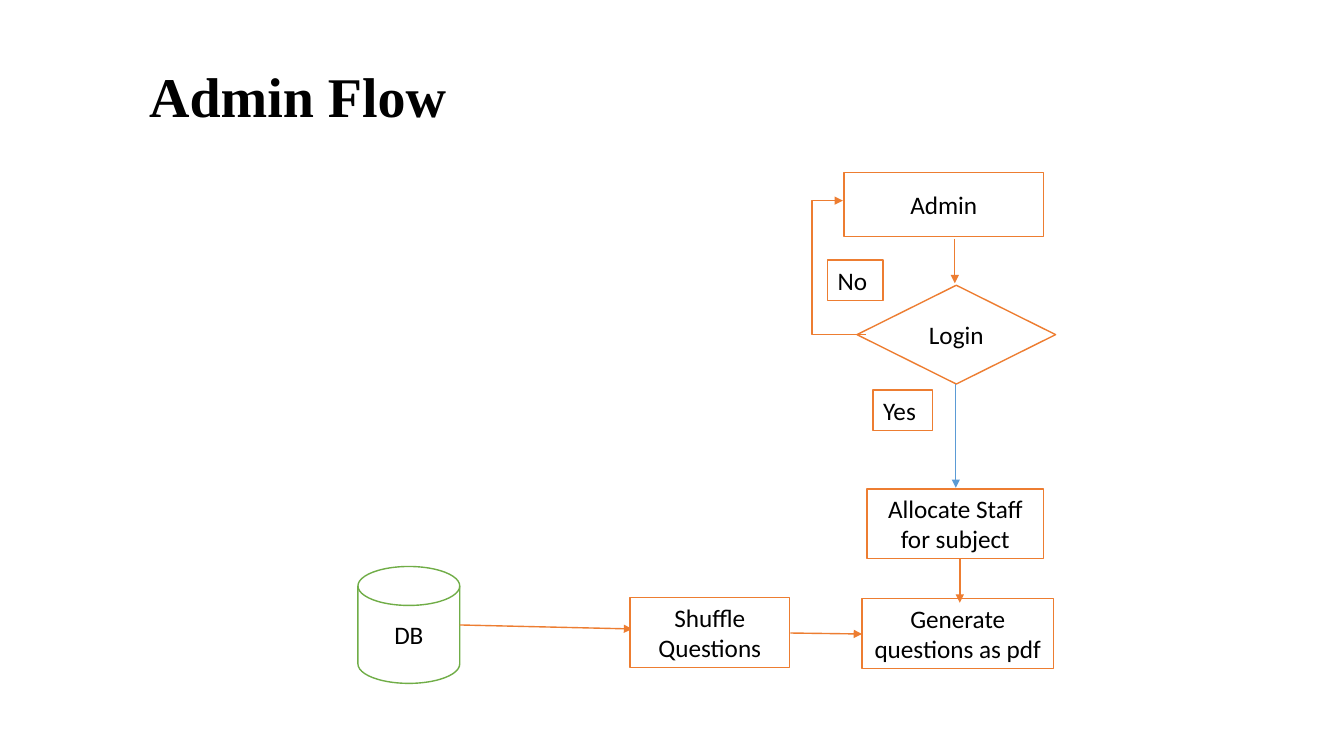
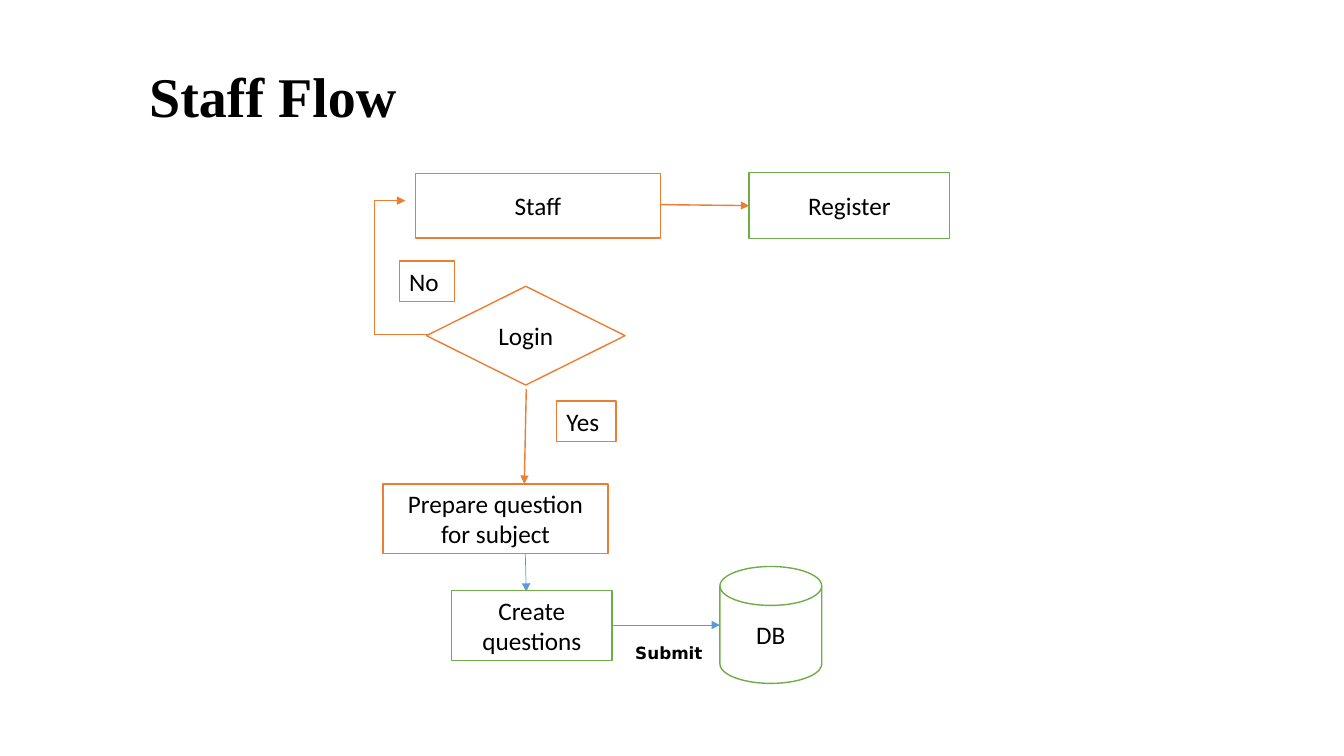
from dataclasses import dataclass

from lxml import etree
from pptx import Presentation
from pptx.dml.color import RGBColor
from pptx.enum.shapes import MSO_CONNECTOR, MSO_SHAPE
from pptx.enum.text import MSO_ANCHOR, MSO_AUTO_SIZE, PP_ALIGN
from pptx.oxml.ns import qn
from pptx.util import Inches, Pt

PROCESS = MSO_SHAPE.RECTANGLE
DECISION = MSO_SHAPE.FLOWCHART_DECISION
DATABASE = MSO_SHAPE.FLOWCHART_MAGNETIC_DISK
STRAIGHT, ELBOW = MSO_CONNECTOR.STRAIGHT, MSO_CONNECTOR.ELBOW
LEFT, CENTER = PP_ALIGN.LEFT, PP_ALIGN.CENTER
TOP, MIDDLE = MSO_ANCHOR.TOP, MSO_ANCHOR.MIDDLE
FIT_SHAPE, NO_FIT = MSO_AUTO_SIZE.SHAPE_TO_FIT_TEXT, MSO_AUTO_SIZE.NONE
TITLE_ONLY = 5


@dataclass(frozen=True)
class Theme:
    ink: str = "000000"
    paper: str = "FFFFFF"
    orange: str = "ED7D31"
    green: str = "70AD47"
    blue: str = "5B9BD5"
    title_font: str = "Times New Roman"
    body_font: str = "Calibri"
    caption_font: str = "DejaVu Sans"
    title_size: float = 40
    body_size: float = 18
    caption_size: float = 12
    line_width: float = 1
    thin_width: float = 0.5


THEME = Theme()
TITLE_BOX = (1.38, 0.62, 8.5, 0.73)
DISK_SIZE = (1.01, 1.16)
DECISION_SIZE = (1.97, 0.98)
STEP_HEIGHT = 0.69
LABEL_HEIGHT = 0.4
LABEL_WIDTHS = {"Yes": 0.59, "No": 0.55}
RETURN_SIZE = (0.23, 1.33)
RETURN_BEND = 232900


def write(shape, text, *, font=THEME.body_font, size=THEME.body_size, bold=False,
          align=CENTER, anchor=MIDDLE, wrap=True, fit=NO_FIT, spacing=None):
    """Put one formatted paragraph into a shape."""
    frame = shape.text_frame
    frame.word_wrap = wrap
    frame.auto_size = fit
    frame.vertical_anchor = anchor
    paragraph = frame.paragraphs[0]
    paragraph.alignment = align
    if spacing:
        paragraph.line_spacing = spacing
    run = paragraph.add_run()
    run.text = text
    run.font.name = font
    run.font.size = Pt(size)
    run.font.bold = bold
    run.font.color.rgb = RGBColor.from_string(THEME.ink)


def add_titled_slide(presentation, text):
    slide = presentation.slides.add_slide(presentation.slide_layouts[TITLE_ONLY])
    title = slide.shapes.title
    title.left, title.top, title.width, title.height = map(Inches, TITLE_BOX)
    write(title, text, font=THEME.title_font, size=THEME.title_size, bold=True,
          align=LEFT, spacing=0.9)
    return slide


def add_node(slide, text, box, kind=PROCESS, color=THEME.orange, **text_format):
    """Outlined flowchart shape with text."""
    shape = slide.shapes.add_shape(kind, *map(Inches, box))
    shape.shadow.inherit = False
    shape.fill.solid()
    shape.fill.fore_color.rgb = RGBColor.from_string(THEME.paper)
    shape.line.color.rgb = RGBColor.from_string(color)
    shape.line.width = Pt(THEME.line_width)
    write(shape, text, **text_format)


def add_decision(slide, text, left, top):
    add_node(slide, text, (left, top, *DECISION_SIZE), kind=DECISION)


def add_database(slide, left):
    add_node(slide, "DB", (left, 5.62, *DISK_SIZE), kind=DATABASE, color=THEME.green)


def add_label(slide, text, left, top):
    """Small boxed answer beside a decision."""
    add_node(slide, text, (left, top, LABEL_WIDTHS[text], LABEL_HEIGHT),
             align=LEFT, anchor=TOP, wrap=False, fit=FIT_SHAPE)


def add_caption(slide, text, box):
    caption = slide.shapes.add_textbox(*map(Inches, box))
    write(caption, text, font=THEME.caption_font, size=THEME.caption_size, bold=True,
          anchor=TOP, fit=FIT_SHAPE)


def add_arrow(slide, start, end, color=THEME.orange, width=THEME.line_width,
              kind=STRAIGHT):
    connector = slide.shapes.add_connector(kind, *map(Inches, (*start, *end)))
    connector.line.color.rgb = RGBColor.from_string(color)
    connector.line.width = Pt(width)
    line = connector.line._get_or_add_ln()
    etree.SubElement(line, qn("a:tailEnd"), type="triangle")
    etree.SubElement(connector._element.spPr, qn("a:effectLst"))
    return connector


def add_thin_arrow(slide, start, end):
    add_arrow(slide, start, end, color=THEME.blue, width=THEME.thin_width)


def add_return_arrow(slide, left, top):
    """Bent arrow from a failed login back up to the first step."""
    width, height = RETURN_SIZE
    connector = add_arrow(slide, (left, top), (left + width, top + height), kind=ELBOW)
    properties = connector._element.spPr
    properties.find(qn("a:xfrm")).set("rot", str(180 * 60000))
    adjustments = properties.find(qn("a:prstGeom")).get_or_add_avLst()
    etree.SubElement(adjustments, qn("a:gd"), name="adj1", fmla=f"val {RETURN_BEND}")


def build_admin_flow(presentation):
    slide = add_titled_slide(presentation, "Admin Flow")
    # Login
    add_decision(slide, "Login", 8.5, 2.83)
    add_return_arrow(slide, 8.36, 1.99)
    add_node(slide, "Admin", (8.37, 1.71, 1.98, 0.64))
    add_arrow(slide, (9.47, 2.37), (9.47, 2.81))
    add_label(slide, "Yes", 8.66, 3.87)
    add_label(slide, "No", 8.21, 2.58)
    # Steps after login
    add_node(slide, "Allocate Staff for subject", (8.6, 4.85, 1.75, STEP_HEIGHT))
    add_database(slide, 3.55)
    add_thin_arrow(slide, (9.48, 3.81), (9.48, 4.84))
    add_node(slide, "Generate questions as pdf", (8.55, 5.94, 1.9, STEP_HEIGHT))
    add_arrow(slide, (4.56, 6.2), (6.27, 6.24))
    add_node(slide, "Shuffle Questions", (6.25, 5.93, 1.58, STEP_HEIGHT))
    add_arrow(slide, (9.52, 5.54), (9.52, 5.98))
    add_arrow(slide, (7.84, 6.28), (8.55, 6.29))


def build_staff_flow(presentation):
    slide = add_titled_slide(presentation, "Staff Flow")
    # Login and registration
    add_decision(slide, "Login", 4.23, 2.84)
    add_node(slide, "Staff", (4.12, 1.72, 2.43, 0.64))
    add_label(slide, "Yes", 5.52, 3.98)
    add_label(slide, "No", 3.96, 2.59)
    add_return_arrow(slide, 4.02, 1.99)
    add_node(slide, "Register", (7.43, 1.71, 1.99, 0.66), color=THEME.green)
    add_arrow(slide, (6.55, 2.03), (7.43, 2.04))
    # Steps after login
    add_arrow(slide, (5.22, 3.86), (5.2, 4.8))
    add_node(slide, "Prepare question for subject", (3.8, 4.8, 2.23, STEP_HEIGHT))
    add_thin_arrow(slide, (5.21, 5.49), (5.22, 5.87))
    add_node(slide, "Create questions", (4.48, 5.86, 1.59, STEP_HEIGHT),
             color=THEME.green)
    add_database(slide, 7.14)
    add_thin_arrow(slide, (6.07, 6.2), (7.14, 6.2))
    add_caption(slide, "Submit", (5.92, 6.33, 1.43, 0.3))


def main():
    presentation = Presentation()
    presentation.slide_width = Inches(13.33)
    presentation.slide_height = Inches(7.5)
    build_admin_flow(presentation)
    build_staff_flow(presentation)
    presentation.save("out.pptx")


main()
